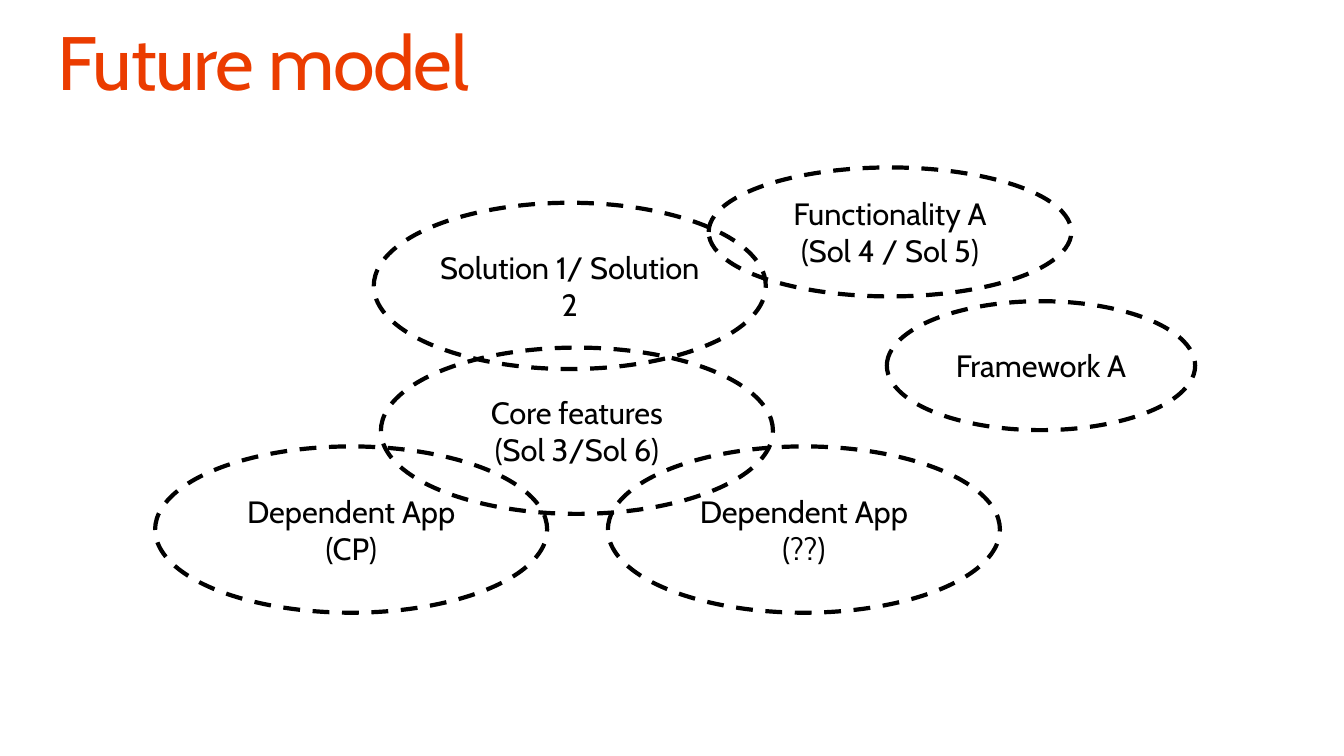
import pptx
import pptx.util
import pptx.dml.color
import pptx.enum.dml
import pptx.enum.shapes
import pptx.enum.text

Cm = pptx.util.Cm
Pt = pptx.util.Pt
ALIGN = pptx.enum.text.PP_ALIGN
ANCHOR = pptx.enum.text.MSO_ANCHOR

LARGE = (9.88, 4.19)
WIDE = (9.14, 3.25)
SMALL = (7.77, 3.25)
BUBBLES = [
    ("Solution 1/ Solution 2", 5.51, 0.89, LARGE),
    ("Functionality A (Sol 4 / Sol 5)", 13.95, 0, WIDE),
    ("Core features\n(Sol 3/Sol 6)", 5.69, 4.54, LARGE),
    ("Dependent App\n(CP)", 0, 7.03, LARGE),
    ("Dependent App\n(??)", 11.41, 7.03, LARGE),
    ("Framework A", 18.44, 3.37, SMALL),
]


def color(code):
    return pptx.dml.color.RGBColor.from_string(code)


def write(shape, text, size=22, ink="000000", align=ALIGN.CENTER,
          anchor=ANCHOR.MIDDLE, inset=0.13, lead=None, track=None):
    frame = shape.text_frame
    frame.text = text
    frame.word_wrap = True
    frame.auto_size = pptx.enum.text.MSO_AUTO_SIZE.NONE
    frame.vertical_anchor = anchor
    frame.margin_left = frame.margin_right = Cm(inset)
    frame.margin_top = frame.margin_bottom = Cm(inset)
    for para in frame.paragraphs:
        para.alignment = align
        para.line_spacing = lead
        for run in para.runs:
            run.font.name = "Cabin"
            run.font.size = Pt(size)
            run.font.color.rgb = color(ink)
            if track is not None:
                run._r.get_or_add_rPr().set("spc", str(track))


def header(slide, left, top, width, height):
    title = slide.shapes.title
    title.left, title.top = Cm(left), Cm(top)
    title.width, title.height = Cm(width), Cm(height)
    write(title, "Future model", size=54, ink="EB3C00", align=ALIGN.LEFT,
          anchor=ANCHOR.TOP, inset=0, lead=0.9, track=-100)


def bubble(slide, text, left, top, width, height):
    oval = slide.shapes.add_shape(
        pptx.enum.shapes.MSO_SHAPE.OVAL,
        Cm(left), Cm(top), Cm(width), Cm(height))
    oval.shadow.inherit = False
    oval.fill.background()
    oval.line.color.rgb = color("000000")
    oval.line.width = Pt(3)
    oval.line.dash_style = pptx.enum.dml.MSO_LINE.DASH
    write(oval, text)


def model(slide, left, top):
    for text, x, y, size in BUBBLES:
        bubble(slide, text, left + x, top + y, *size)


def main():
    deck = pptx.Presentation()
    deck.slide_width, deck.slide_height = Cm(33.87), Cm(19.05)
    slide = deck.slides.add_slide(deck.slide_layouts[5])
    header(slide, 1.45, 0.64, 30.96, 2.08)
    model(slide, 3.91, 4.22)
    deck.save("out.pptx")


if __name__ == "__main__":
    main()
